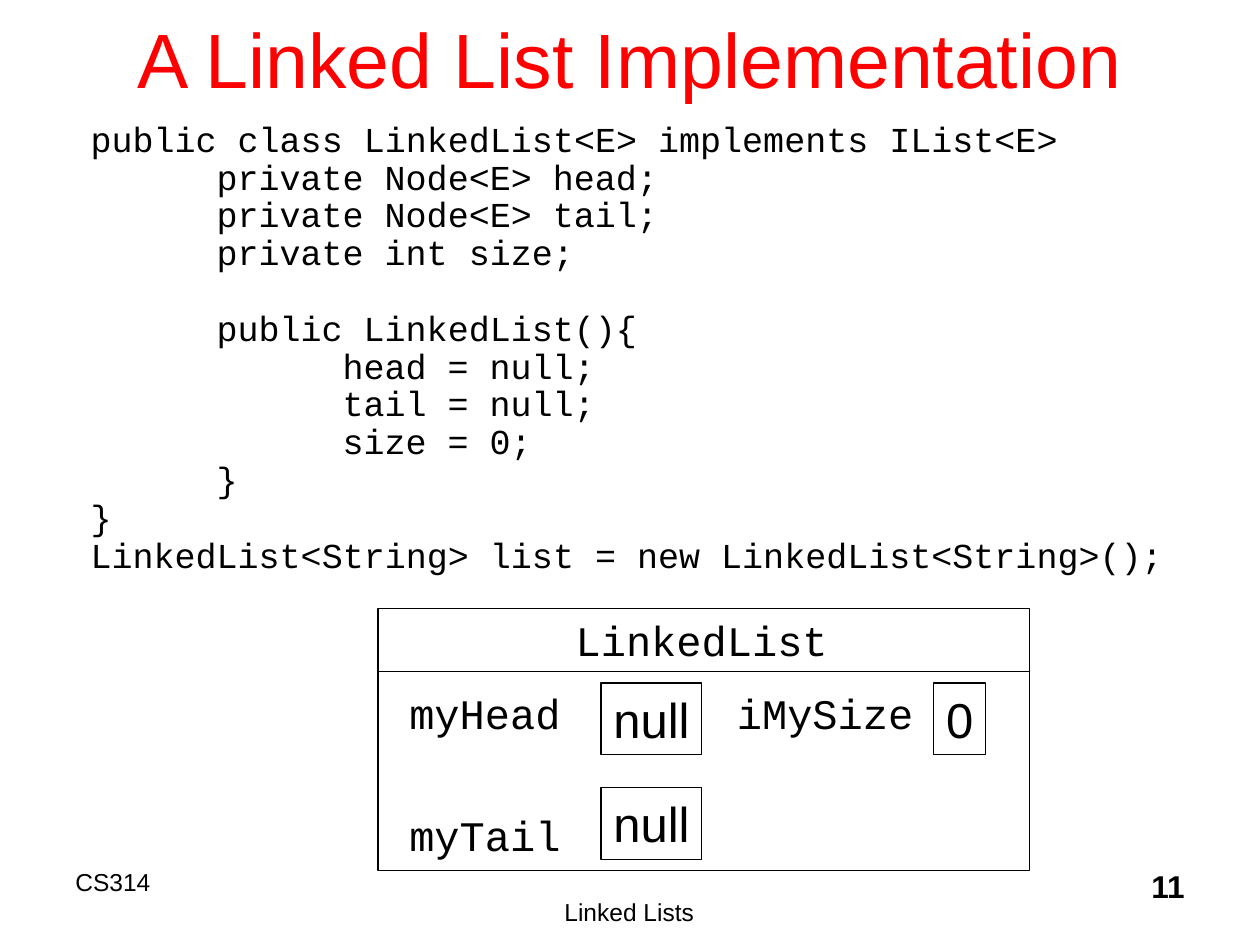
from lxml import etree
from pptx import Presentation
from pptx.dml.color import RGBColor
from pptx.enum.shapes import MSO_CONNECTOR, MSO_SHAPE
from pptx.enum.text import MSO_ANCHOR, PP_ALIGN
from pptx.oxml.ns import qn
from pptx.util import Inches, Pt

SANS, MONO = "Arial", "Courier New"
BLACK, RED = "000000", "FF0000"


def color(hex_code):
    return RGBColor.from_string(hex_code)


class SlideBuilder:
    def __init__(self, slide):
        self.slide = slide

    def set_lines(self, shape, lines, size, font=SANS, ink=BLACK, bold=False,
                  align=PP_ALIGN.LEFT, wrap=False, before=0, spacing=None,
                  anchor=MSO_ANCHOR.TOP):
        """Fill a shape with (text, indent in inches, extra gap in points) lines."""
        frame = shape.text_frame
        frame.word_wrap = wrap
        frame.vertical_anchor = anchor
        for i, (text, indent, gap) in enumerate(lines):
            paragraph = frame.paragraphs[0] if i == 0 else frame.add_paragraph()
            paragraph.text = text
            paragraph.alignment = align
            paragraph.space_before = Pt(before + gap)
            if spacing:
                paragraph.line_spacing = spacing
            if indent:
                paragraph._p.get_or_add_pPr().set("marL", str(Inches(indent)))
            paragraph.font.name = font
            paragraph.font.size = Pt(size)
            paragraph.font.bold = bold
            paragraph.font.color.rgb = color(ink)
        return frame

    def text(self, box, lines, size, **style):
        shape = self.slide.shapes.add_textbox(*map(Inches, box))
        if isinstance(lines, str):
            lines = [(lines, 0, 0)]
        return self.set_lines(shape, lines, size, **style)

    def box(self, box, label=None):
        shape = self.slide.shapes.add_shape(MSO_SHAPE.RECTANGLE, *map(Inches, box))
        shape.shadow.inherit = False
        shape.fill.background()
        shape.line.color.rgb = color(BLACK)
        shape.line.width = Pt(0.75)
        if label:
            self.set_lines(shape, [(label, 0, 0)], 28, before=7)

    def rule(self, left, right, y):
        line = self.slide.shapes.add_connector(
            MSO_CONNECTOR.STRAIGHT, Inches(left), Inches(y), Inches(right), Inches(y))
        line.line.color.rgb = color(BLACK)
        line.line.width = Pt(0.75)
        etree.SubElement(line._element.spPr, qn("a:effectLst"))

    def tab_stop(self, paragraph, position):
        properties = paragraph._p.get_or_add_pPr()
        tabs = etree.Element(qn("a:tabLst"))
        etree.SubElement(tabs, qn("a:tab"), pos=str(Inches(position)), algn="l")
        # Tab stops come before the default run properties
        defaults = properties.find(qn("a:defRPr"))
        if defaults is None:
            properties.append(tabs)
        else:
            defaults.addprevious(tabs)


def main():
    deck = Presentation()
    deck.slide_width, deck.slide_height = Inches(10), Inches(7.5)
    builder = SlideBuilder(deck.slides.add_slide(deck.slide_layouts[6]))

    # Footer
    builder.text((0.5, 6.83, 2.5, 0.5), "CS314", 14, wrap=True)
    builder.text((3.08, 7.07, 3.83, 0.33), "Linked Lists", 14, wrap=True,
                 align=PP_ALIGN.CENTER)
    builder.text((7.42, 6.83, 2.08, 0.5), "11", 18, wrap=True, bold=True,
                 align=PP_ALIGN.RIGHT)

    # Title
    builder.text((0.75, -0.17, 8.5, 1.25), "A Linked List Implementation", 44,
                 ink=RED, wrap=True, align=PP_ALIGN.CENTER, anchor=MSO_ANCHOR.MIDDLE)

    # Class source code
    code = [
        ("public class LinkedList<E> implements IList<E>", 0, 0),
        ("private Node<E> head;", 1, 0),
        ("private Node<E> tail;", 1, 0),
        ("private int size;", 1, 0),
        ("public LinkedList(){", 1, 21.6),
        ("head = null;", 2, 0),
        ("tail = null;", 2, 0),
        ("size = 0;", 2, 0),
        ("}", 1, 0),
        ("}", 0, 0),
        ("LinkedList<String> list = new LinkedList<String>();", 0, 0),
    ]
    builder.text((0.62, 0.92, 8.72, 4.11), code, 20, font=MONO, spacing=0.9)

    # Object diagram: frame, class name and field names
    builder.box((3, 4.83, 5.17, 2.08))
    builder.rule(3, 8.17, 5.33)
    builder.text((4.47, 4.83, 2.2, 0.5), "LinkedList", 24, font=MONO, before=6)
    fields = builder.text((3.15, 5.41, 4.2, 1.47),
                          [("myHead\tiMySize", 0, 0), ("myTail", 0, 34.8)],
                          24, font=MONO, before=6)
    builder.tab_stop(fields.paragraphs[0], 2.6)

    # Field values
    for left, top, width, value in [(4.77, 5.42, 0.8, "null"),
                                    (4.77, 6.25, 0.8, "null"),
                                    (7.41, 5.42, 0.41, "0")]:
        builder.box((left, top, width, 0.57), value)

    deck.save("out.pptx")


if __name__ == "__main__":
    main()
